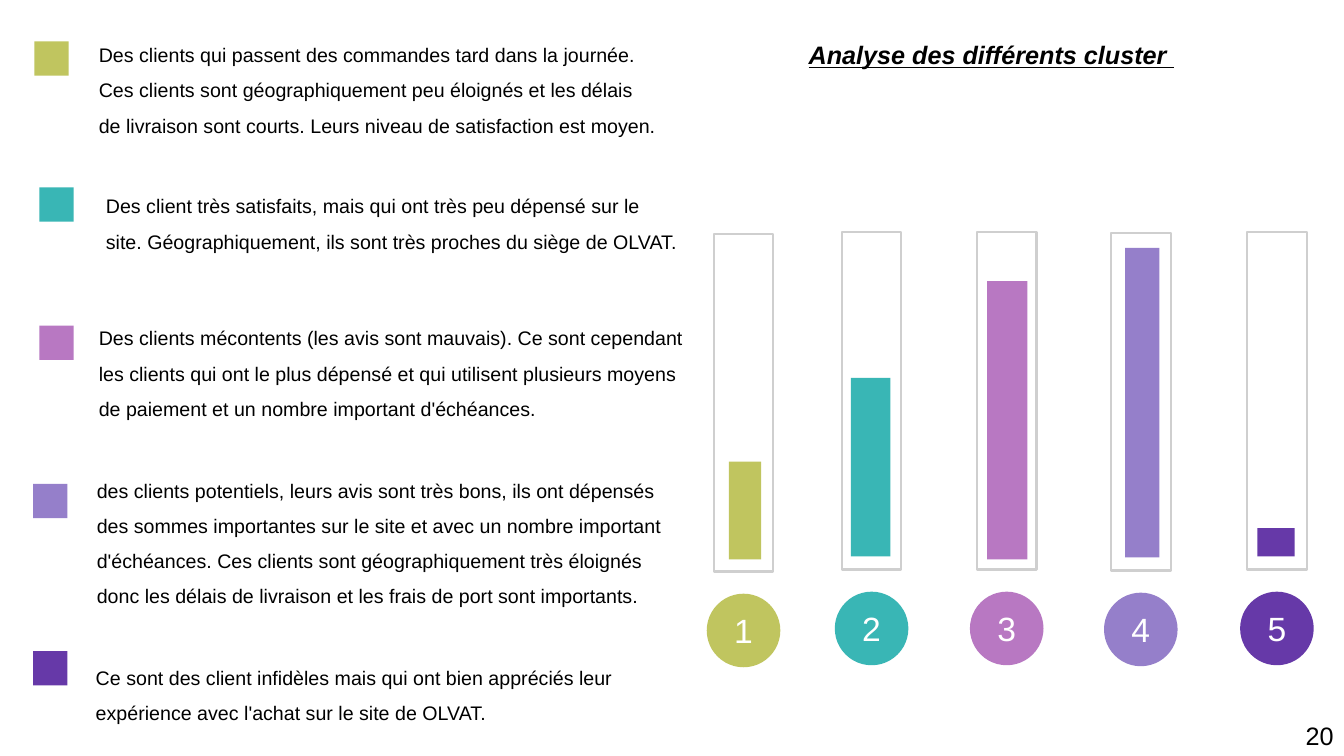
"""Build the slide that describes five customer clusters beside their level gauges."""
from pptx import Presentation
from pptx import util as u
from pptx.dml.color import RGBColor
from pptx.enum import shapes, text

PX = 9144
FONT = "Arial"
COLOURS = {
    "olive": "C0C55F", "teal": "39B6B5", "pink": "B878C2", "lilac": "957FCA",
    "purple": "6639A8", "tube": "CFCFCF", "black": "000000", "white": "FFFFFF",
}
HEADING = "Analyse des différents cluster "
PAGE_NUMBER = "20"
CLUSTERS = [
    {"colour": "olive", "swatch": (34, 41), "words": (98, 31, 555, 105),
     "tube": (708, 232), "level": (723, 458, 32, 97),
     "description": "Des clients qui passent des commandes tard dans la journée. "
                    "Ces clients sont géographiquement peu éloignés et les délais "
                    "de livraison sont courts. Leurs niveau de satisfaction est moyen."},
    {"colour": "teal", "swatch": (39, 186), "words": (105, 181, 571, 70),
     "tube": (835, 230), "level": (844, 375, 39, 177),
     "description": "Des client très satisfaits, mais qui ont très peu dépensé sur le "
                    "site. Géographiquement, ils sont très proches du siège de OLVAT."},
    {"colour": "pink", "swatch": (39, 323), "words": (98, 312, 590, 105),
     "tube": (969, 230), "level": (979, 279, 40, 276),
     "description": "Des clients mécontents (les avis sont mauvais). Ce sont cependant "
                    "les clients qui ont le plus dépensé et qui utilisent plusieurs moyens "
                    "de paiement et un nombre important d'échéances."},
    {"colour": "lilac", "swatch": (33, 480), "words": (96, 463, 568, 140),
     "tube": (1102, 231), "level": (1116, 246, 34, 307),
     "description": "des clients potentiels, leurs avis sont très bons, ils ont dépensés "
                    "des sommes importantes sur le site et avec un nombre important "
                    "d'échéances. Ces clients sont géographiquement très éloignés "
                    "donc les délais de livraison et les frais de port sont importants."},
    {"colour": "purple", "swatch": (33, 646), "words": (95, 649, 596, 70),
     "tube": (1237, 230), "level": (1247, 524, 37, 28),
     "description": "Ce sont des client infidèles mais qui ont bien appréciés leur "
                    "expérience avec l'achat sur le site de OLVAT."},
]
SWATCH = 34
TUBE_W, TUBE_H = 59, 335
BADGE, BADGE_DROP = 73, 357


def rgb(colour):
    return RGBColor.from_string(COLOURS[colour])


def emu(*lengths):
    return [length * PX for length in lengths]


def write(frame, words, size, colour="black", align=text.PP_ALIGN.LEFT,
          anchor=text.MSO_ANCHOR.TOP, spacing=1.0, wrap=True):
    frame.auto_size = text.MSO_AUTO_SIZE.NONE
    frame.word_wrap = wrap
    frame.vertical_anchor = anchor
    frame.margin_left = frame.margin_right = frame.margin_top = frame.margin_bottom = 0
    paragraph = frame.paragraphs[0]
    paragraph.alignment = align
    paragraph.line_spacing = spacing
    run = paragraph.add_run()
    run.text = words
    run.font.name = FONT
    run.font.size = u.Pt(size)
    run.font.color.rgb = rgb(colour)
    return run


def add_block(slide, kind, box, fill=None, line=None):
    block = slide.shapes.add_shape(kind, *emu(*box))
    block.shadow.inherit = False
    if fill:
        block.fill.solid()
        block.fill.fore_color.rgb = rgb(fill)
    else:
        block.fill.background()
    if line:
        block.line.color.rgb = rgb(line)
        block.line.width = u.Pt(1.5)
    else:
        block.line.fill.background()
    return block


def add_cluster(slide, number, cluster):
    rect, oval = shapes.MSO_SHAPE.RECTANGLE, shapes.MSO_SHAPE.OVAL
    colour = cluster["colour"]
    left, top = cluster["tube"]
    add_block(slide, rect, (left, top, TUBE_W, TUBE_H), line="tube")
    add_block(slide, rect, cluster["level"], fill=colour)
    add_block(slide, rect, (*cluster["swatch"], SWATCH, SWATCH), fill=colour)
    badge_left = left - (BADGE - TUBE_W) // 2
    badge = add_block(slide, oval, (badge_left, top + BADGE_DROP, BADGE, BADGE), fill=colour)
    write(badge.text_frame, str(number), 24, "white",
          text.PP_ALIGN.CENTER, text.MSO_ANCHOR.MIDDLE)
    description = slide.shapes.add_textbox(*emu(*cluster["words"]))
    write(description.text_frame, cluster["description"], 14, spacing=1.5)


def main():
    deck = Presentation()
    deck.slide_width, deck.slide_height = emu(1333, 750)
    slide = deck.slides.add_slide(deck.slide_layouts[5])

    heading = slide.shapes.title
    heading.left, heading.top, heading.width, heading.height = emu(802, 39, 500, 32)
    heading_run = write(heading.text_frame, HEADING, 18)
    heading_run.font.bold = heading_run.font.italic = heading_run.font.underline = True

    for number, cluster in enumerate(CLUSTERS, 1):
        add_cluster(slide, number, cluster)

    page = slide.shapes.add_textbox(*emu(1295, 715, 28, 30))
    write(page.text_frame, PAGE_NUMBER, 18, wrap=False)
    deck.save("out.pptx")


if __name__ == "__main__":
    main()
